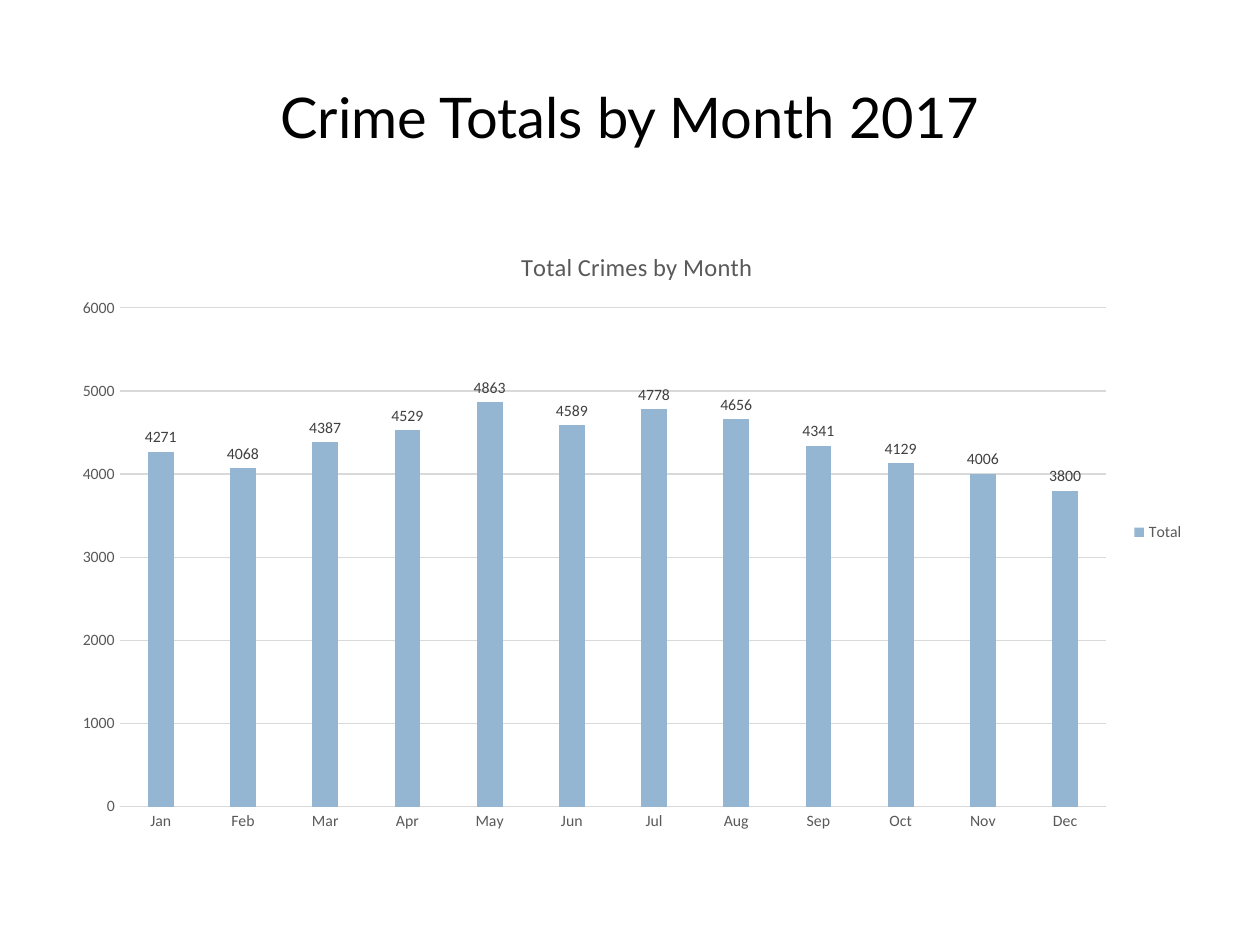
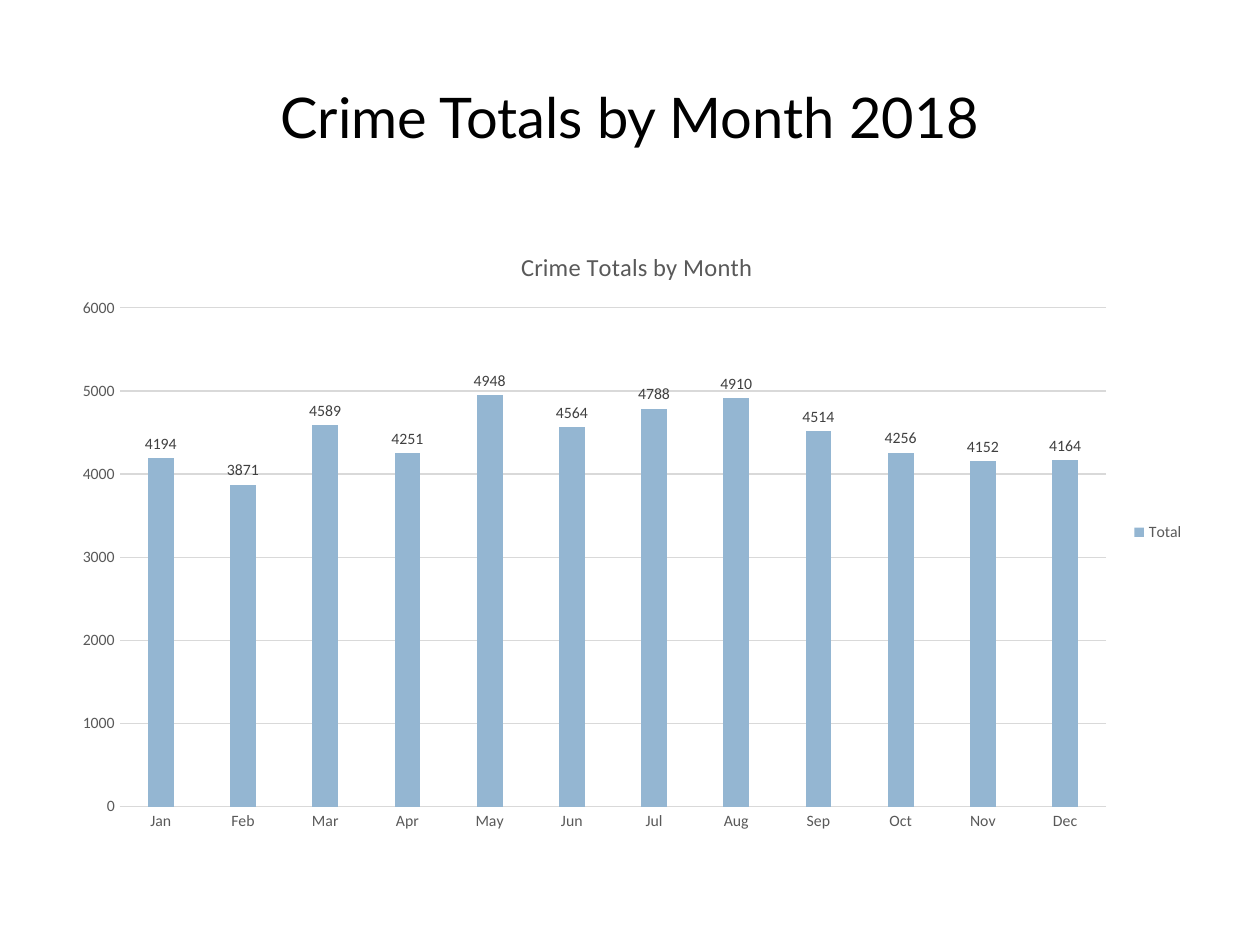
from pptx import Presentation
from pptx.chart.data import CategoryChartData
from pptx.dml.color import RGBColor
from pptx.enum.chart import XL_CHART_TYPE, XL_LABEL_POSITION, XL_LEGEND_POSITION, XL_TICK_MARK
from pptx.enum.text import MSO_ANCHOR, PP_ALIGN
from pptx.oxml import parse_xml
from pptx.oxml.ns import nsdecls
from pptx.util import Inches, Pt

BLACK = RGBColor(0x00, 0x00, 0x00)
AXIS_GREY = RGBColor(0x59, 0x59, 0x59)
LABEL_GREY = RGBColor(0x40, 0x40, 0x40)
GRID_GREY = RGBColor(0xD9, 0xD9, 0xD9)
BAR_BLUE = RGBColor(0x94, 0xB6, 0xD2)

HEADING_FORMAT = {"name": "Lato", "size": Pt(32)}
CHART_TITLE_FORMAT = {"name": "Calibri", "size": Pt(14), "bold": False}
SMALL_FORMAT = {"name": "Calibri", "size": Pt(9)}

MONTHS = ["Jan", "Feb", "Mar", "Apr", "May", "Jun",
          "Jul", "Aug", "Sep", "Oct", "Nov", "Dec"]
YEARS = [
    (2017, "Total Crimes by Month",
     [4271, 4068, 4387, 4529, 4863, 4589, 4778, 4656, 4341, 4129, 4006, 3800]),
    (2018, "Crime Totals by Month",
     [4194, 3871, 4589, 4251, 4948, 4564, 4788, 4910, 4514, 4256, 4152, 4164]),
]


def style_font(font, font_format, color):
    for attribute, value in font_format.items():
        setattr(font, attribute, value)
    font.color.rgb = color


def place_in_chart(parent, index, **shares):
    """Fix a chart part's place, given as shares of the chart's size."""
    for automatic in parent.xpath("c:layout"):
        parent.remove(automatic)
    target = '<c:layoutTarget val="inner"/>' if "w" in shares else ""
    modes = "".join(f'<c:{key}Mode val="edge"/>' for key in "xy")
    sizes = "".join(f'<c:{key} val="{share}"/>' for key, share in shares.items())
    parent.insert(index, parse_xml(
        f'<c:layout {nsdecls("c")}><c:manualLayout>{target}{modes}{sizes}'
        "</c:manualLayout></c:layout>"))


deck = Presentation()
deck.slide_width, deck.slide_height = Inches(10), Inches(7.5)
margin = int(deck.slide_width * 0.05)
content_width = deck.slide_width - 2 * margin

for year, chart_title, totals in YEARS:
    slide = deck.slides.add_slide(deck.slide_layouts[6])

    # Slide heading
    heading = slide.shapes.add_textbox(
        margin, int(deck.slide_height * 0.04), content_width, Inches(1.25)).text_frame
    heading.word_wrap = True
    heading.vertical_anchor = MSO_ANCHOR.MIDDLE
    heading.text = f"Crime Totals by Month {year}"
    heading.paragraphs[0].alignment = PP_ALIGN.CENTER
    style_font(heading.paragraphs[0].runs[0].font, HEADING_FORMAT, BLACK)

    # Monthly column chart
    monthly = CategoryChartData()
    monthly.categories = MONTHS
    monthly.add_series("Total", totals)
    chart = slide.shapes.add_chart(
        XL_CHART_TYPE.COLUMN_CLUSTERED, margin, Inches(1.75),
        content_width, int(deck.slide_height * 0.66), monthly).chart
    style_font(chart.font, {"name": "Calibri", "size": Pt(10)}, BLACK)

    chart.has_title = True
    chart.chart_title.text_frame.text = chart_title
    title_run = chart.chart_title.text_frame.paragraphs[0].runs[0]
    style_font(title_run.font, CHART_TITLE_FORMAT, AXIS_GREY)
    place_in_chart(chart.element.xpath("c:chart/c:title")[0], 1, x=0.4, y=0.04)
    place_in_chart(chart.element.xpath("c:chart/c:plotArea")[0], 0,
                   x=0.05, y=0.14, w=0.87, h=0.8)

    chart.has_legend = True
    chart.legend.position = XL_LEGEND_POSITION.RIGHT
    chart.legend.include_in_layout = False
    style_font(chart.legend.font, SMALL_FORMAT, AXIS_GREY)

    months_axis, totals_axis = chart.category_axis, chart.value_axis
    for axis in (months_axis, totals_axis):
        axis.major_tick_mark = axis.minor_tick_mark = XL_TICK_MARK.NONE
        style_font(axis.tick_labels.font, SMALL_FORMAT, AXIS_GREY)
    totals_axis.minimum_scale, totals_axis.maximum_scale = 0, 6000
    totals_axis.major_unit = 1000
    totals_axis.format.line.fill.background()
    for line in (months_axis.format.line, totals_axis.major_gridlines.format.line):
        line.color.rgb = GRID_GREY
        line.width = Pt(0.75)

    columns = chart.plots[0]
    columns.vary_by_categories = False
    columns.gap_width, columns.overlap = 219, -27
    total = columns.series[0]
    total.format.fill.solid()
    total.format.fill.fore_color.rgb = BAR_BLUE
    total.data_labels.show_value = True
    total.data_labels.position = XL_LABEL_POSITION.OUTSIDE_END
    style_font(total.data_labels.font, SMALL_FORMAT, LABEL_GREY)

deck.save("out.pptx")
